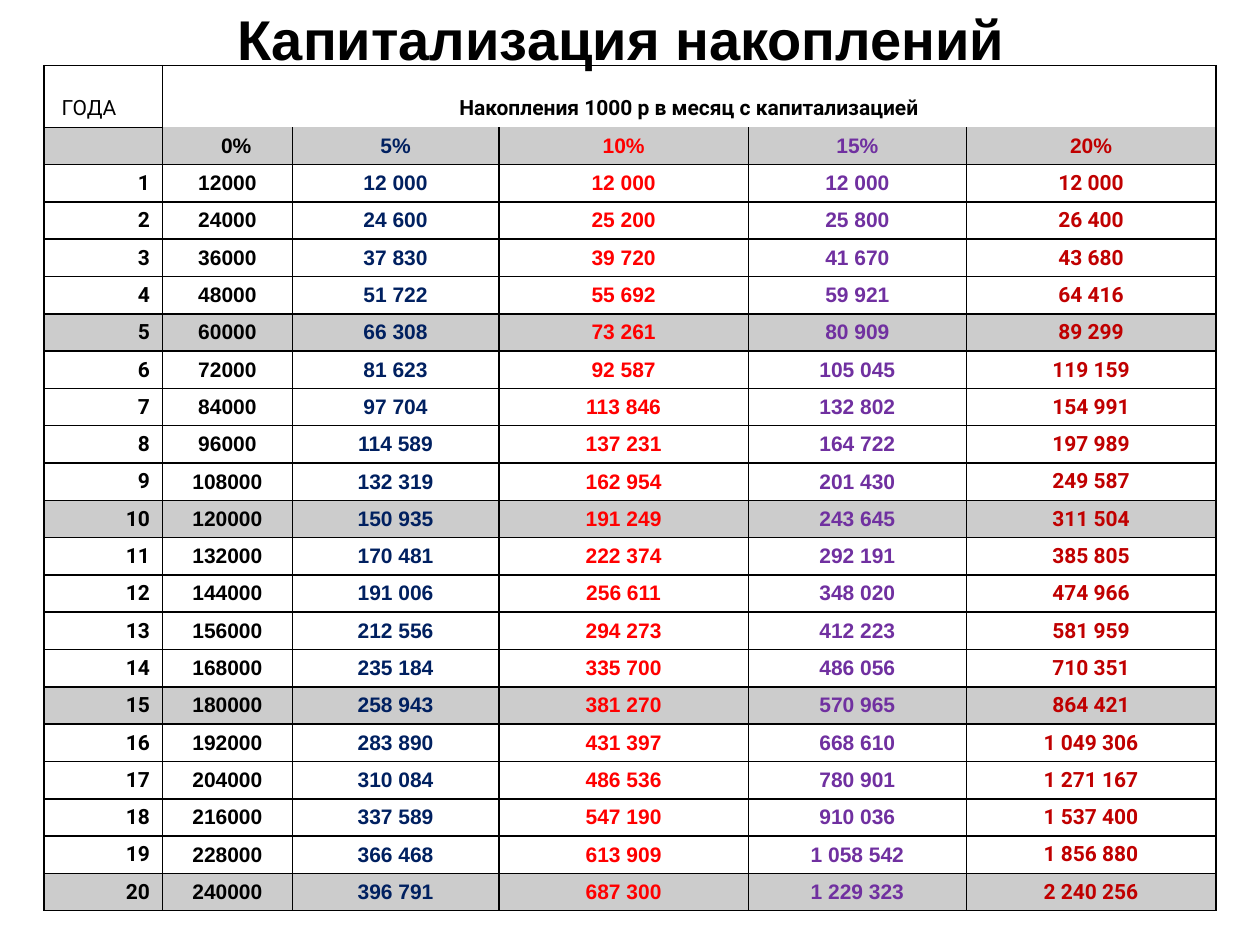
from dataclasses import dataclass
from typing import Optional

from lxml.etree import SubElement
from pptx import Presentation
from pptx.dml.color import RGBColor
from pptx.enum.text import MSO_ANCHOR as Anchor, PP_ALIGN as Align
from pptx.oxml.ns import qn
from pptx.util import Inches, Pt


@dataclass(frozen=True)
class Theme:
    black: str = "000000"
    white: str = "FFFFFF"
    grey: str = "CCCCCC"
    navy: str = "002060"
    red: str = "FF0000"
    purple: str = "7030A0"
    crimson: str = "C00000"
    sans: str = "Arial"
    alt: str = "Roboto"
    title_size: int = 32
    cell_size: int = 12
    border: float = 1


@dataclass(frozen=True)
class Column:
    head: str
    weight: float
    color: str
    font: str
    align: Align = Align.CENTER
    head_indent: float = 0.1


T = Theme()
WIDTH, HEIGHT = Inches(10), Inches(7.5)
COLUMNS = [
    Column("", 0.94, T.black, T.alt, Align.RIGHT),
    Column("0%", 1.03, T.black, T.sans, head_indent=0.24),
    Column("5%", 1.64, T.navy, T.sans),
    Column("10%", 1.98, T.red, T.sans),
    Column("15%", 1.73, T.purple, T.sans),
    Column("20%", 1.98, T.crimson, T.alt),
]
HEADER_WEIGHT = 1.65  # height of the top row, in ordinary rows
MONTHLY = 1000
# Savings by year at 5, 10, 15 and 20 percent
SAVINGS = [
    (12000, 12000, 12000, 12000),
    (24600, 25200, 25800, 26400),
    (37830, 39720, 41670, 43680),
    (51722, 55692, 59921, 64416),
    (66308, 73261, 80909, 89299),
    (81623, 92587, 105045, 119159),
    (97704, 113846, 132802, 154991),
    (114589, 137231, 164722, 197989),
    (132319, 162954, 201430, 249587),
    (150935, 191249, 243645, 311504),
    (170481, 222374, 292191, 385805),
    (191006, 256611, 348020, 474966),
    (212556, 294273, 412223, 581959),
    (235184, 335700, 486056, 710351),
    (258943, 381270, 570965, 864421),
    (283890, 431397, 668610, 1049306),
    (310084, 486536, 780901, 1271167),
    (337589, 547190, 910036, 1537400),
    (366468, 613909, 1058542, 1856880),
    (396791, 687300, 1229323, 2240256),
]


def across(percent: float) -> int:
    return int(WIDTH * percent / 100)


def down(percent: float) -> int:
    return int(HEIGHT * percent / 100)


def write(tf, text: str, *, size: int = T.cell_size, font: str = T.sans,
          color: str = T.black, bold: bool = True, align: Align = Align.CENTER) -> None:
    p = tf.paragraphs[0]
    p.alignment = align
    if not text:  # keeps an empty cell from growing its row
        SubElement(p._p, qn("a:endParaRPr"), sz=str(size * 100))
        return
    r = p.add_run()
    r.text = text
    r.font.size, r.font.name, r.font.bold = Pt(size), font, bold
    r.font.color.rgb = RGBColor.from_string(color)


def set_borders(cell, sides: str) -> None:
    tc_pr = cell._tc.get_or_add_tcPr()
    for i, side in enumerate("LRTB"):
        shown = side in sides
        ln = tc_pr.makeelement(qn(f"a:ln{side}"), {"w": str(int(Pt(T.border)) if shown else 0)})
        if shown:
            SubElement(SubElement(ln, qn("a:solidFill")), qn("a:srgbClr"), val=T.black)
        else:
            SubElement(ln, qn("a:noFill"))
        tc_pr.insert(i, ln)


def fill_cell(cell, text: str, *, fill: Optional[str] = None, sides: str = "LRTB",
              indent: float = 0.1, anchor: Anchor = Anchor.MIDDLE, **style) -> None:
    cell.margin_left, cell.margin_right = Inches(indent), Inches(0.1)
    cell.margin_top = Inches(0.03)
    cell.margin_bottom = Inches(0.05 if anchor == Anchor.BOTTOM else 0.03)
    cell.vertical_anchor = anchor
    if fill:
        cell.fill.solid()
        cell.fill.fore_color.rgb = RGBColor.from_string(fill)
    else:
        cell.fill.background()
    write(cell.text_frame, text, **style)
    set_borders(cell, sides)


def add_title(s, text: str) -> None:
    tf = s.shapes.add_textbox(across(4.3), 0, across(90), down(8)).text_frame
    tf.word_wrap = True
    tf.vertical_anchor = Anchor.MIDDLE
    write(tf, text, size=T.title_size)


def add_savings_table(s) -> None:
    rows = len(SAVINGS) + 2
    width, height = across(93), down(89.5)
    frame = s.shapes.add_table(rows, len(COLUMNS), across(3.5), down(6.95), width, height)
    table = frame.table
    table.first_row = table.horz_banding = False

    # Grid
    total = sum(c.weight for c in COLUMNS)
    for col, c in zip(table.columns, COLUMNS):
        col.width = int(width * c.weight / total)
    unit = height / (rows - 1 + HEADER_WEIGHT)
    for i, row in enumerate(table.rows):
        row.height = int(unit * (1 if i else HEADER_WEIGHT))

    # Top row
    table.cell(0, 1).merge(table.cell(0, len(COLUMNS) - 1))
    fill_cell(table.cell(0, 0), "ГОДА", indent=0.14, anchor=Anchor.BOTTOM,
              font=T.alt, bold=False, align=Align.LEFT)
    fill_cell(table.cell(0, 1), f"Накопления {MONTHLY} р в месяц с капитализацией",
              sides="LRT", anchor=Anchor.BOTTOM, font=T.alt)
    for j in range(2, len(COLUMNS)):
        set_borders(table.cell(0, j), "RT" if j == len(COLUMNS) - 1 else "T")

    # Interest rates
    for j, c in enumerate(COLUMNS):
        fill_cell(table.cell(1, j), c.head, fill=T.grey, sides="LRB" if j else "LRTB",
                  indent=c.head_indent, color=c.color)

    # Years; every fifth one is shaded
    for year, amounts in enumerate(SAVINGS, start=1):
        texts = [str(year), str(year * 12 * MONTHLY)]
        texts += [f"{a:,}".replace(",", " ") for a in amounts]
        for j, (c, text) in enumerate(zip(COLUMNS, texts)):
            fill_cell(table.cell(year + 1, j), text, fill=T.white if year % 5 else T.grey,
                      font=c.font, color=c.color, align=c.align)


def main() -> None:
    prs = Presentation()
    prs.slide_width, prs.slide_height = WIDTH, HEIGHT
    s = prs.slides.add_slide(prs.slide_layouts[6])
    add_title(s, "Капитализация накоплений")
    add_savings_table(s)
    prs.save("out.pptx")


if __name__ == "__main__":
    main()
